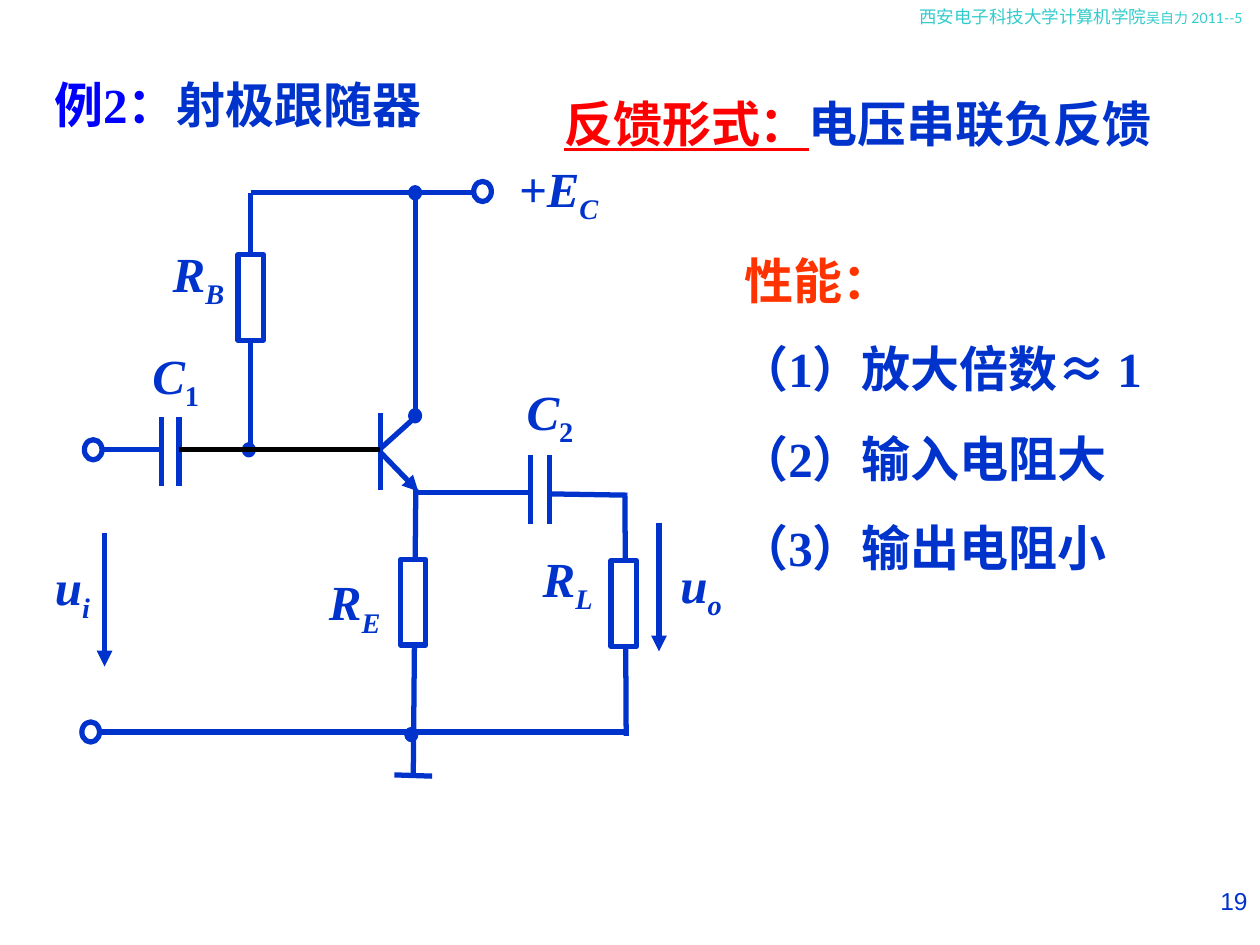
"""Build a slide on the emitter follower circuit and its feedback properties."""
from lxml.etree import SubElement
from pptx import Presentation
from pptx.dml.color import RGBColor
from pptx.enum.shapes import MSO_CONNECTOR, MSO_SHAPE
from pptx.enum.text import MSO_ANCHOR, MSO_AUTO_SIZE, PP_ALIGN
from pptx.oxml.ns import qn
from pptx.util import Inches, Pt

THEME = {
    "blue": "0033CC", "title": "0000FF", "red": "FF0000", "orange": "FF3300",
    "teal": "33CCCC", "black": "000000", "white": "FFFFFF",
    "serif": "Times New Roman", "sans": "Arial", "head": "Lato",
    "body": 28, "page": 14, "school": 10, "date": 8, "gap": 17.5, "line": 3,
}

BODY = {"name": "serif", "size": "body", "color": "blue", "bold": True}
MATH = {**BODY, "italic": True}
HEAD = {"name": "head", "size": "school", "color": "teal"}
PAGE = {"name": "sans", "size": "page", "color": "blue"}

TITLE = [[("例2：", {**BODY, "color": "title"}), ("射极跟随器", BODY)]]
TEXTS = [
    ((7.2, 0, 2.8, 0.4), "left", "top", True,
     [[("西安电子科技大学计算机学院", HEAD), ("吴自力 2011--5", {**HEAD, "size": "date"})]]),
    ((5.81, 1.94, 1.63, 0.57), "left", "middle", True,
     [[("性能：", {**BODY, "color": "orange"})]]),
    ((5.77, 2.64, 3.89, 1.99), "left", "top", True,
     [[("（1）放大倍数", BODY), ("≈ ", {**BODY, "name": "sans"}), ("1", BODY)],
      [("（2）输入电阻大", BODY)],
      [("（3）输出电阻小", BODY)]]),
    ((4.38, 0.69, 4.86, 0.57), "left", "top", False,
     [[("反馈形式：", {**BODY, "color": "red", "underline": True}), ("电压串联负反馈", BODY)]]),
    ((7.5, 6.98, 2.5, 0.52), "right", "top", True, [[("19", PAGE)]]),
]

LABELS = [
    ("R", "B", 1.26, 1.88, 0.63), ("+E", "C", 4.02, 1.21, 0.83),
    ("C", "1", 1.11, 2.69, 0.57), ("C", "2", 4.08, 2.98, 0.57),
    ("R", "E", 2.5, 4.49, 0.63), ("R", "L", 4.19, 4.3, 0.63),
    ("u", "i", 0.3, 4.37, 0.55), ("u", "o", 5.29, 4.35, 0.55),
]

WIRES = [
    (1.99, 3.58, 1.99, 1.53), (1.99, 1.53, 3.26, 1.53), (3.26, 1.53, 3.75, 1.53),
    (3.3, 2.62, 3.3, 1.51), (3.3, 2.34, 3.3, 3.31),
    (3.02, 3.28, 3.02, 3.89), (3.02, 3.56, 3.32, 3.29),
    (3.3, 3.88, 3.28, 6.15), (3.13, 6.15, 3.43, 6.16),
    (0.8, 5.81, 1.63, 5.81), (1.61, 5.81, 4.32, 5.81), (3.18, 5.81, 4.97, 5.81),
    (0.82, 3.57, 1.29, 3.57), (3.28, 3.91, 4.22, 3.91),
    (4.36, 3.92, 4.98, 3.93), (4.96, 3.94, 4.97, 5.84),
]
PLATES = [(1.28, 3.31), (1.42, 3.31), (4.21, 3.61), (4.36, 3.61)]
PLATE = 0.55
ARROWS = [(3.02, 3.59, 3.32, 3.9), (5.23, 4.15, 5.23, 5.17), (0.83, 4.23, 0.83, 5.29)]
BASE = (1.42, 3.57, 3.02, 3.57)
PARTS = [
    (MSO_SHAPE.RECTANGLE, (0.2, 0.68), "white", [(1.89, 2.02), (3.18, 4.44), (4.85, 4.45)]),
    (MSO_SHAPE.OVAL, (0.14, 0.16), None, [(3.76, 1.44), (0.67, 3.49), (0.65, 5.73)]),
    (MSO_SHAPE.OVAL, (0.07, 0.08), "blue",
     [(3.23, 5.79), (3.26, 3.26), (3.26, 1.49), (1.94, 3.53)]),
]


def tint(name):
    return RGBColor.from_string(THEME[name])


def style(font, form):
    for key, value in form.items():
        if key == "color":
            font.color.rgb = tint(value)
        elif key == "size":
            font.size = Pt(THEME[value])
        else:
            setattr(font, key, THEME[value] if key == "name" else value)


def write(box, lines, align="left", anchor="top", wrap=True):
    frame = box.text_frame
    form = {
        "word_wrap": wrap, "auto_size": MSO_AUTO_SIZE.SHAPE_TO_FIT_TEXT,
        "vertical_anchor": getattr(MSO_ANCHOR, anchor.upper()),
        "margin_left": Inches(0.1), "margin_right": Inches(0.1),
        "margin_top": Inches(0.05), "margin_bottom": Inches(0.05),
    }
    for key, value in form.items():
        setattr(frame, key, value)
    for i, line in enumerate(lines):
        para = frame.add_paragraph() if i else frame.paragraphs[0]
        para.alignment = getattr(PP_ALIGN, align.upper())
        para.space_before = Pt(THEME["gap"] if i else 0)
        for text, look in line:
            run = para.add_run()
            run.text = text
            style(run.font, look)
    return frame


def place(shape, spot):
    for key, value in zip(("left", "top", "width", "height"), spot):
        setattr(shape, key, Inches(value))


def wire(group, ends, color="blue", arrow=False):
    link = group.shapes.add_connector(MSO_CONNECTOR.STRAIGHT, *map(Inches, ends))
    link.line.color.rgb = tint(color)
    link.line.width = Pt(THEME["line"])
    if arrow:
        SubElement(link.line._get_or_add_ln(), qn("a:tailEnd"), type="triangle")
    SubElement(link._element.spPr, qn("a:effectLst"))


def part(group, kind, size, fill, spot):
    shape = group.shapes.add_shape(kind, *map(Inches, spot + size))
    shape.shadow.inherit = False
    shape.line.color.rgb = tint("blue")
    shape.line.width = Pt(THEME["line"])
    if fill:
        shape.fill.solid()
        shape.fill.fore_color.rgb = tint(fill)
    else:
        shape.fill.background()


def label(group, sign, sub, left, top, width):
    box = group.shapes.add_textbox(*map(Inches, (left, top, width, 0.63)))
    low = {**MATH, "italic": not sub.isdigit()}
    align = "left" if sign.startswith("+") else "center"
    frame = write(box, [[(sign, MATH), (sub, low)]], align, "middle", False)
    frame.paragraphs[0].runs[1]._r.get_or_add_rPr().set("baseline", "-25000")


def main():
    deck = Presentation()
    deck.slide_width, deck.slide_height = Inches(10), Inches(7.5)
    slide = deck.slides.add_slide(deck.slide_layouts[5])
    place(slide.shapes.title, (0.33, 0.54, 4.35, 0.57))
    write(slide.shapes.title, TITLE)
    group = slide.shapes.add_group_shape()
    for ends in WIRES + [(x, y, x, y + PLATE) for x, y in PLATES]:
        wire(group, ends)
    for ends in ARROWS:
        wire(group, ends, arrow=True)
    for kind, size, fill, spots in PARTS:
        for spot in spots:
            part(group, kind, size, fill, spot)
    wire(group, BASE, "black")
    for item in LABELS:
        label(group, *item)
    for spot, align, anchor, wrap, lines in TEXTS:
        box = slide.shapes.add_textbox(*map(Inches, spot))
        write(box, lines, align, anchor, wrap)
    deck.save("out.pptx")


if __name__ == "__main__":
    main()
